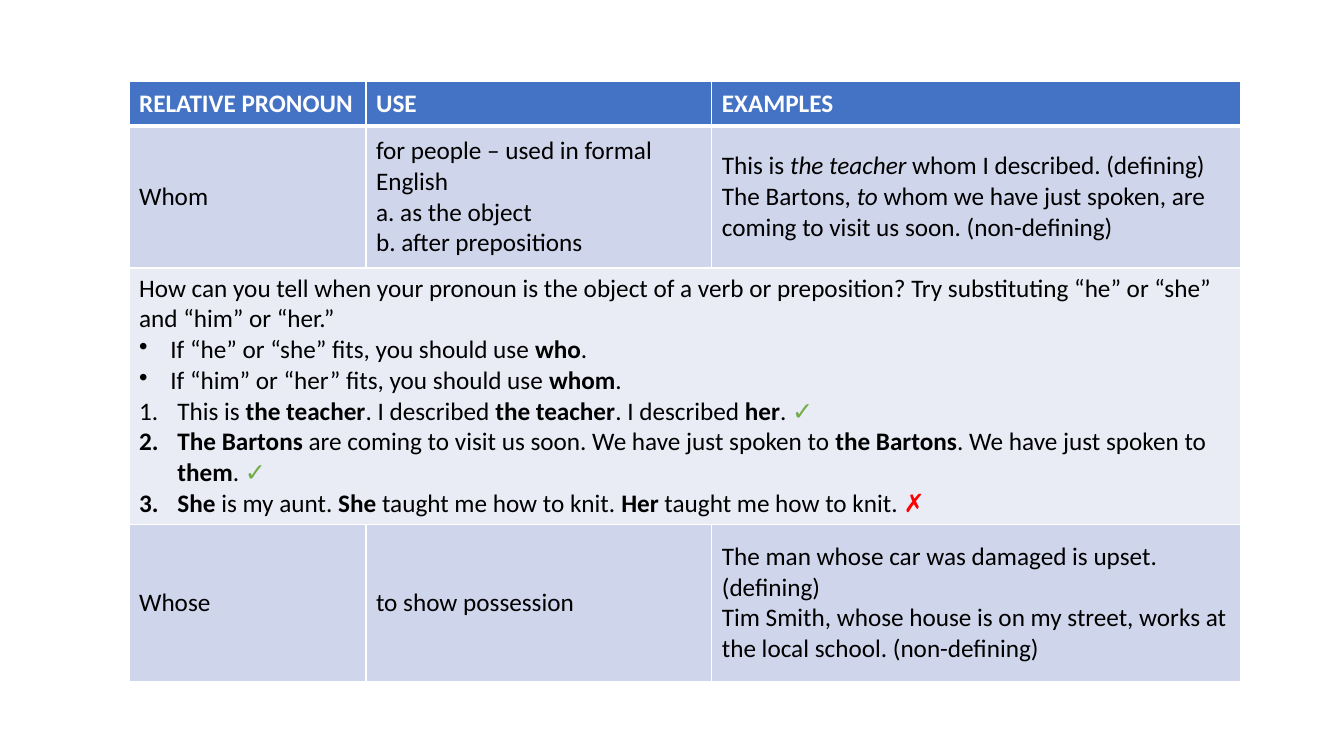
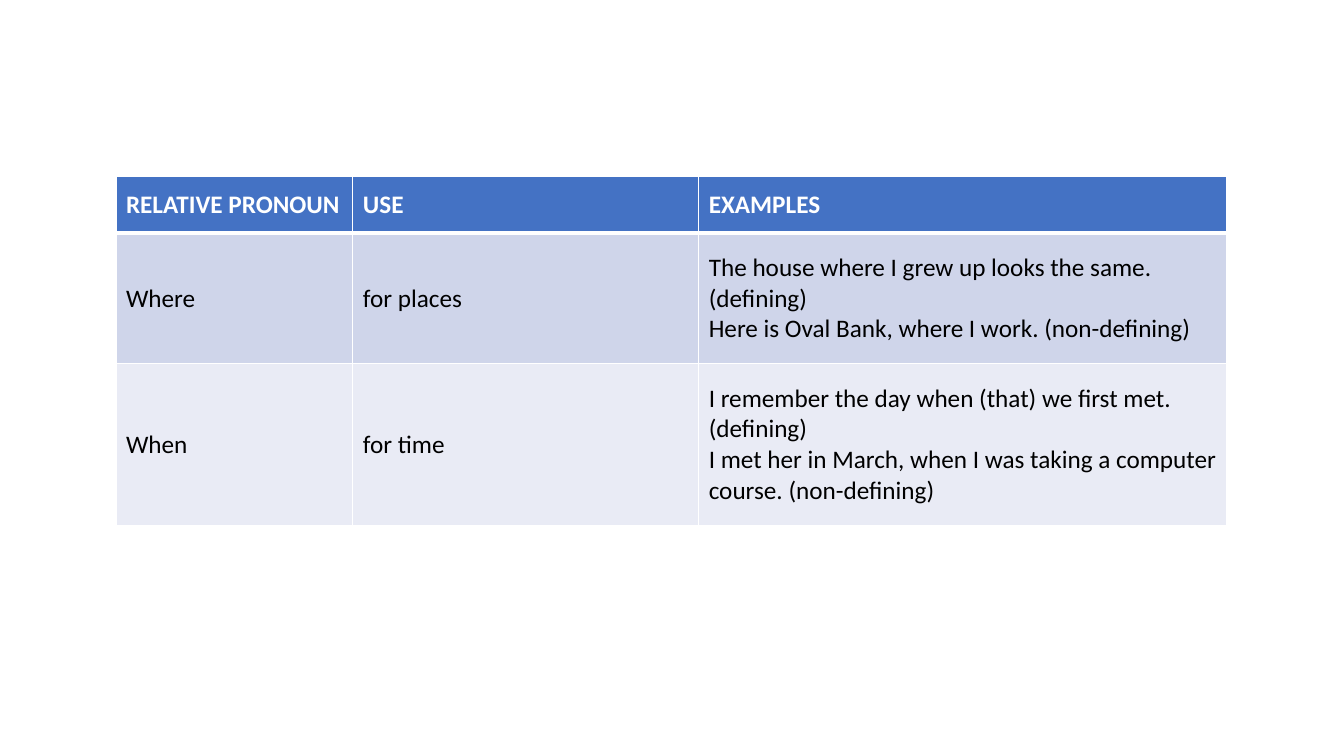
from lxml.etree import SubElement
from pptx import Presentation
from pptx.dml.color import RGBColor
from pptx.enum.text import MSO_ANCHOR
from pptx.oxml.ns import qn
from pptx.util import Pt

PX = 9144  # one px is a hundredth of an inch
FONT, SIZE = "Calibri", 18
WHITE, BLACK, BLUE = "FFFFFF", "000000", "4472C4"
BANDS = ["CFD5EA", "E9EBF5"]
MARKS = {"✓": "70AD47", "✗": "FF0000"}
COLS = [235, 343, 524]
HEAD = ["RELATIVE PRONOUN", "USE", "EXAMPLES"]

# In cell text, * toggles bold, _ toggles italic and | only splits runs.
# A leading "- " makes a bullet and a leading "# " a numbered item.
LISTS = {
    "- ": (31, "a:buChar", {"char": "•"}),
    "# ": (38, "a:buAutoNum", {"type": "arabicPeriod"}),
}

WHOM = [
    ["Whom"],
    ["for people – used in formal English", "a. as the object",
     "b. after prepositions"],
    ["This is _the teacher _whom I described. (defining)",
     "The Bartons, _to_ whom we have just spoken, are coming to visit us "
     "soon. (non-defining)"],
]
TEST = [[
    "How can you tell when your pronoun is the object of a verb or "
    "preposition? Try substituting “he” or “she” and “him” or “her.”",
    "- If “he” or “she” fits, you should use *who*.",
    "- If “him” or “her” fits, you should use *whom*.",
    "# This is *the teacher*. I described *the teacher*. "
    "I described *her*. |✓",
    "# *The Bartons *are coming to visit us soon. We have just spoken to "
    "*the Bartons*. We have just spoken to *them*. |✓",
    "# *She* is my aunt. *She* taught me how to knit. "
    "*Her* taught me how to knit. |✗",
]]
WHOSE = [
    ["Whose"],
    ["to show possession"],
    ["The man whose car was damaged is upset. (defining)",
     "Tim Smith, whose house is on my street, works at the local school. "
     "(non-defining)"],
]
WHERE = [
    ["Where"],
    ["for places"],
    ["The house where I grew up looks the same. (defining)",
     "Here is Oval Bank, where I work. (non-defining)"],
]
WHEN = [
    ["When"],
    ["for time"],
    ["I remember the day when (that) we first met. (defining)",
     "I met her in March, when I was taking a computer course. "
     "(non-defining)"],
]


def rgb(code):
    return RGBColor.from_string(code)


def add_runs(para, text, color, strong):
    for b, part in enumerate(text.split("*")):
        for i, piece in enumerate(part.split("_")):
            for bit in filter(None, piece.split("|")):
                run = para.add_run()
                run.text = bit
                font = run.font
                font.name, font.size = FONT, Pt(SIZE)
                font.bold = strong or b % 2 == 1
                font.italic = i % 2 == 1
                font.color.rgb = rgb(MARKS.get(bit, color))


def set_list(para, kind):
    indent, tag, attrs = LISTS[kind]
    props = para._p.get_or_add_pPr()
    props.set("marL", str(indent * PX))
    props.set("indent", str(-indent * PX))
    SubElement(props, qn(tag), attrs)


def fill_text(cell, lines, color, strong):
    cell.vertical_anchor = MSO_ANCHOR.MIDDLE
    frame = cell.text_frame
    for n, line in enumerate(lines):
        para = frame.add_paragraph() if n else frame.paragraphs[0]
        if line[:2] in LISTS:
            set_list(para, line[:2])
            line = line[2:]
        add_runs(para, line, color, strong)


def paint(cell, fill, top, bottom):
    # Borders come before the fill in the cell's properties
    props = cell._tc.get_or_add_tcPr()
    for side, width in zip("LRTB", (1, 1, top, bottom)):
        line = SubElement(props, qn("a:ln" + side), {"w": str(Pt(width))})
        solid = SubElement(line, qn("a:solidFill"))
        SubElement(solid, qn("a:srgbClr"), {"val": WHITE})
    cell.fill.solid()
    cell.fill.fore_color.rgb = rgb(fill)


def add_grid(slide, left, top, sizes, body):
    rows = [[[name] for name in HEAD]] + body
    shape = slide.shapes.add_table(len(rows), len(COLS), left * PX, top * PX,
                                   sum(COLS) * PX, sum(sizes) * PX)
    table = shape.table
    table.horz_banding = False
    for col, width in zip(table.columns, COLS):
        col.width = width * PX
    for r, (row, size) in enumerate(zip(rows, sizes)):
        table.rows[r].height = size * PX
        head = r == 0
        # Header has a heavy rule below it; body rows alternate
        fill = BLUE if head else BANDS[(r - 1) % 2]
        for c in range(len(COLS)):
            paint(table.cell(r, c), fill, 3 if r == 1 else 1, 3 if head else 1)
        # A row with a single entry spans the table
        if len(row) == 1:
            table.cell(r, 0).merge(table.cell(r, len(COLS) - 1))
        for c, lines in enumerate(row):
            fill_text(table.cell(r, c), lines, WHITE if head else BLACK, head)


def main():
    deck = Presentation()
    deck.slide_width, deck.slide_height = 1333 * PX, 750 * PX
    blank = deck.slide_layouts[6]
    # Left, top, row heights and body of each table
    pages = [
        (128, 81, [44, 141, 254, 156], [WHOM, TEST, WHOSE]),
        (115, 175, [56, 130, 160], [WHERE, WHEN]),
    ]
    for page in pages:
        add_grid(deck.slides.add_slide(blank), *page)
    deck.save("out.pptx")


if __name__ == "__main__":
    main()
